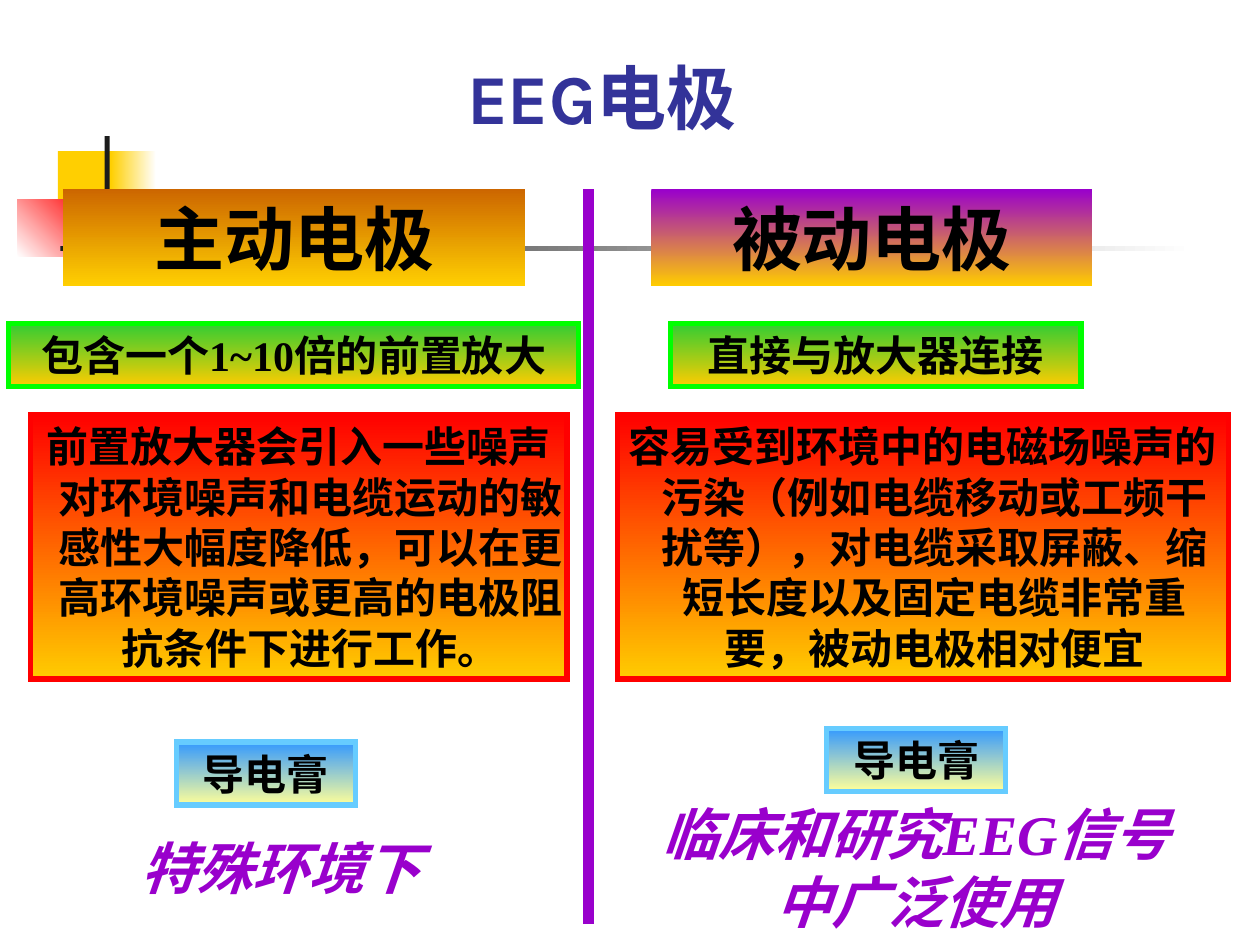
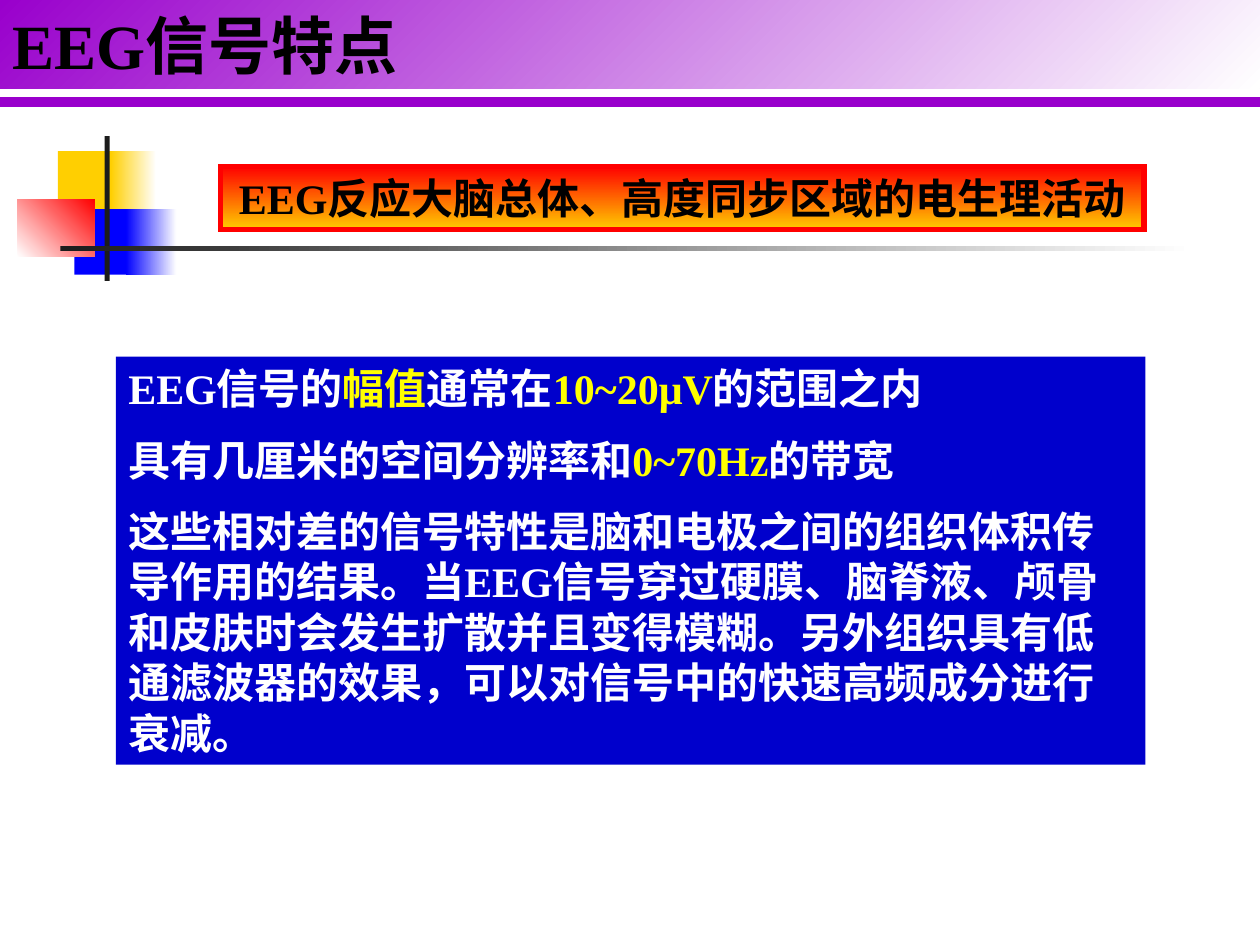
from lxml.etree import SubElement
from pptx import Presentation
from pptx.dml.color import RGBColor
from pptx.enum.shapes import MSO_CONNECTOR as CONN, MSO_SHAPE as SHAPE
from pptx.enum.text import MSO_ANCHOR as ANCHOR, MSO_AUTO_SIZE as AUTO, PP_ALIGN as ALIGN
from pptx.oxml.ns import qn
from pptx.util import Inches, Pt

PURPLE, GOLD, BLACK, WHITE = "9900CC", "FFCC00", "000000", "FFFFFF"
RED, BLUE, AMBER, INK, YELLOW = "FF0000", "0000FF", "FFCF01", "1C1C1C", "FFFF00"
SERIF, SANS, HAN = "Times New Roman", "Karla", "Noto Sans CJK SC"
hue = RGBColor.from_string


def paint(shape, fill, turn=90, edge=None):
    shape.shadow.inherit = False
    if isinstance(fill, str):
        shape.fill.solid()
        shape.fill.fore_color.rgb = hue(fill)
    else:
        shape.fill.gradient()
        shape.fill.gradient_angle = (360 - turn) % 360
        for stop, tone in zip(shape.fill.gradient_stops, fill):
            stop.color.rgb = hue(tone)
    if edge:
        shape.line.color.rgb = hue(edge)
        shape.line.width = Pt(3)
        SubElement(shape._element.spPr.find(qn("a:ln")), qn("a:miter"), lim="800000")
    else:
        shape.line.fill.background()


def write(shape, texts, size, tone=BLACK, face=SERIF, align=ALIGN.CENTER, hang=False, slant=False):
    frame = shape.text_frame
    frame.word_wrap = True
    frame.auto_size = AUTO.NONE
    frame.vertical_anchor = ANCHOR.TOP
    frame.margin_left = frame.margin_right = Inches(0 if hang else 0.1)
    frame.margin_top = frame.margin_bottom = Inches(0.05)
    for i, text in enumerate(texts):
        para = frame.add_paragraph() if i else frame.paragraphs[0]
        para.alignment = align
        para.space_before = Pt(12 if i else 0)
        props = para._p.get_or_add_pPr()
        props.set("hangingPunct", "0")
        if hang:
            props.set("marL", str(Inches(0.19)))
            props.set("indent", str(-Inches(0.19)))
        for j, part in enumerate(text.split("|")):
            run = para.add_run()
            run.text = part
            font = run.font
            font.size, font.bold, font.italic, font.name = Pt(size), True, slant, face
            font.color.rgb = hue(YELLOW if j % 2 else tone)
            SubElement(run._r.get_or_add_rPr(), qn("a:ea"), typeface=HAN)


prs = Presentation()
prs.slide_width, prs.slide_height = Inches(10), Inches(7.5)
layout = prs.slide_layouts[5]
first = prs.slides.add_slide(layout)
second = prs.slides.add_slide(layout)

motif = [
    (0.46, 1.2, 0.48, 0.52, AMBER, 0),
    (0.88, 1.2, 0.36, 0.52, (AMBER, WHITE), 0),
    (0.59, 1.66, 0.46, 0.52, BLUE, 0),
    (1, 1.66, 0.4, 0.52, (BLUE, WHITE), 0),
    (0.14, 1.58, 0.61, 0.46, (WHITE, RED), 315),
    (0.83, 1.08, 0.04, 1.15, INK, 0),
    (0.48, 1.95, 9, 0.04, (INK, WHITE), 0),
]
for *place, fill, turn in motif:
    shape = first.shapes.add_shape(SHAPE.RECTANGLE, *map(Inches, place))
    paint(shape, fill, turn)
    layout.shapes.element.append(shape.element)

heads = [
    (first, (1.4, 0.38, 6.75, 0.77), "EEG电极", 40, "333399", SANS, ALIGN.CENTER),
    (second, (0, 0, 10, 0.7), "EEG信号特点", 36, BLACK, SERIF, ALIGN.LEFT),
]
for slide, place, text, size, tone, face, align in heads:
    title = slide.shapes.title
    title.left, title.top, title.width, title.height = map(Inches, place)
    write(title, [text], size, tone, face, align)
paint(second.shapes.title, (PURPLE, WHITE), 45)

for slide, ends in [(first, (4.67, 1.5, 4.67, 7.33)), (second, (0, 0.81, 10, 0.81))]:
    rule = slide.shapes.add_connector(CONN.STRAIGHT, *map(Inches, ends))
    rule.line.color.rgb = hue(PURPLE)
    rule.line.width = Pt(6)
    SubElement(rule._element.spPr, qn("a:effectLst"))

GREEN = (("33CC33", GOLD), "00FF00")
FIRE = ((RED, GOLD), RED)
SKY = (("3399FF", "FFFF99"), "66CCFF")
boxes = [
    (first, (0.5, 1.5, 3.67, 0.77), (("CC6600", AMBER), None), "主动电极", 40, HAN),
    (first, (5.17, 1.5, 3.5, 0.77), ((PURPLE, GOLD), None), "被动电极", 40, SANS),
    (first, (0.07, 2.57, 4.52, 0.5), GREEN, "包含一个1~10倍的前置放大", 24, SERIF),
    (first, (5.32, 2.57, 3.26, 0.5), GREEN, "直接与放大器连接", 24, SERIF),
    (first, (0.24, 3.29, 4.26, 2.1), FIRE,
     "前置放大器会引入一些噪声对环境噪声和电缆运动的敏 感性大幅度降低，"
     "可以在更高环境噪声或更高的电极阻抗条件下进行工作。", 24, SERIF),
    (first, (4.9, 3.29, 4.85, 2.1), FIRE,
     "容易受到环境中的电磁场噪声的污染（例如电缆移动或工频干扰等），"
     "对电缆采取屏蔽、缩短长度以及固定电缆非常重要，被动电极相对便宜", 24, SERIF),
    (first, (1.4, 5.89, 1.42, 0.5), SKY, "导电膏", 24, SANS),
    (first, (6.56, 5.78, 1.42, 0.5), SKY, "导电膏", 24, SANS),
    (second, (1.75, 1.32, 7.33, 0.5), FIRE,
     "EEG反应大脑总体、高度同步区域的电生理活动", 24, SERIF),
]
for slide, place, style, text, size, face in boxes:
    shape = slide.shapes.add_shape(SHAPE.RECTANGLE, *map(Inches, place))
    fill, edge = style
    paint(shape, fill, edge=edge)
    write(shape, [text], size, face=face, hang=style is FIRE)

uses = [
    ((0.87, 6.57, 2.71, 0.64), "特殊环境下"),
    ((5.06, 6.3, 4.42, 1.17), "临床和研究EEG信号中广泛使用"),
]
for place, text in uses:
    note = first.shapes.add_textbox(*map(Inches, place))
    write(note, [text], 32, PURPLE, slant=True)

facts = [
    "EEG信号的|幅值|通常在|10~20μV|的范围之内",
    "具有几厘米的空间分辨率和|0~70Hz|的带宽",
    "这些相对差的信号特性是脑和电极之间的组织体积传导作用的结果。"
    "当EEG信号穿过硬膜、脑脊液、颅骨和皮肤时会发生扩散并且变得模糊。"
    "另外组织具有低通滤波器的效果，可以对信号中的快速高频成分进行衰减。",
]
panel = second.shapes.add_shape(SHAPE.RECTANGLE, *map(Inches, (0.92, 2.83, 8.17, 3.24)))
paint(panel, "0000CC")
write(panel, facts, 24, WHITE, align=ALIGN.LEFT)

prs.save("out.pptx")
